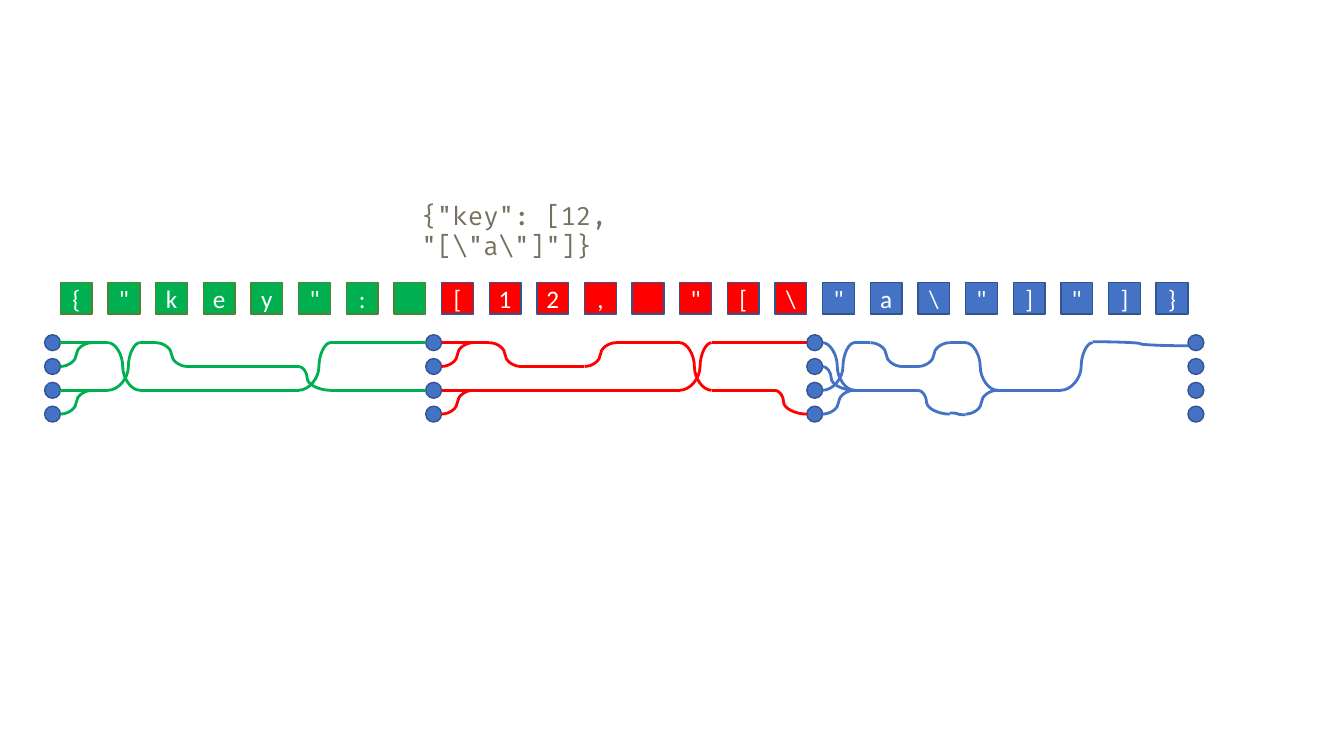
"""Draw a JSON text cut into three blocks, with state wires running below its characters."""
import dataclasses

import pptx
import pptx.dml.color
import pptx.enum.shapes
import pptx.enum.text
import pptx.oxml.ns
import pptx.oxml.xmlchemy
import pptx.util


@dataclasses.dataclass(frozen=True)
class Theme:
    """Colours, fonts and sizes of the slide."""
    blocks: tuple = ("00B050", "FF0000", "4472C4")
    outlines: tuple = ("548235", "325491", "325491")
    dot: str = "4472C4"
    dot_outline: str = "325491"
    code: str = "75715E"
    cell_text: str = "FFFFFF"
    code_font: str = "Fira Code"
    cell_font: str = "Calibri"
    text_size: int = 18
    outline_width: int = 1
    wire_width: int = 2


THEME = Theme()
JSON_TEXT = r'{"key": [12, "[\"a\"]"]}'
BLOCK_CELLS, CELL_STEP, CELL_SIZE = 8, 3, 2
BLOCK_UNITS = BLOCK_CELLS * CELL_STEP
UNIT = 3.78 / BLOCK_UNITS
LANE_STEP = 1.5 * UNIT
LANES = 4
GRID_LEFT, CELL_TOP, LANE_TOP = 0.6, 2.8, 3.4

BENDS = {(0, 2): 0.46, (2, 0): 0.64, (1, 2): 0.27, (2, 3): 0.27}

SWITCHES = {
    0: [(1, 0), (3, 2)],
    1: [(0, 2), (2, 0)],
    2: [(0, 1)],
    5: [(2, 0), (1, 2)],
    8: [(3, 2), (1, 0)],
    9: [(0, 1)],
    11: [(1, 0)],
    13: [(0, 2), (2, 0)],
    15: [(2, 3)],
    16: [(0, 2), (2, 0), (3, 2), (1, 2)],
    17: [(0, 1)],
    18: [(2, 3), (1, 0)],
    19: [(0, 2), (3, 2)],
    21: [(2, 0)],
}

RUNS = {
    0: [(0, 3), (5, 6), (17, 23), (24, 27), (35, 39), (41, 47), (50, 51), (56, 57)],
    1: [(8, 15), (29, 33), (53, 54)],
    2: [(0, 3), (5, 15), (17, 23), (24, 39), (41, 45), (50, 54), (59, 63)],
}
SLOPES = [(56, 57, 2.95, 3.03), (65, 71, -0.04, 0.13)]


def rgb(value):
    """Turn a hex string into a colour."""
    return pptx.dml.color.RGBColor.from_string(value)


def column(units):
    """Give the horizontal place of a grid unit."""
    return pptx.util.Inches(GRID_LEFT + units * UNIT)


def lane_y(lane):
    """Give the height of a lane's centre line."""
    return pptx.util.Inches(LANE_TOP + lane * LANE_STEP)


def write(tf, text, font, color, align=None):
    """Put one formatted run in a text frame."""
    p = tf.paragraphs[0]
    p.alignment = align
    r = p.add_run()
    r.text = text
    r.font.name = font
    r.font.size = pptx.util.Pt(THEME.text_size)
    r.font.color.rgb = rgb(color)


def add_shape(shapes, kind, left, top, size, fill, outline):
    """Add a filled and outlined shape of equal width and height."""
    sp = shapes.add_shape(kind, left, top, size, size)
    sp.shadow.inherit = False
    sp.fill.solid()
    sp.fill.fore_color.rgb = rgb(fill)
    sp.line.color.rgb = rgb(outline)
    sp.line.width = pptx.util.Pt(THEME.outline_width)
    return sp


def add_dots(shapes, block):
    """Add the column of state dots at the start of a block."""
    size = pptx.util.Inches(UNIT)
    left = column(block * BLOCK_UNITS - 1)
    for lane in range(LANES):
        add_shape(shapes, pptx.enum.shapes.MSO_SHAPE.OVAL, left, lane_y(lane) - size // 2,
                  size, THEME.dot, THEME.dot_outline)


def add_cell(shapes, index, char):
    """Add the square of one character."""
    block = index // BLOCK_CELLS
    sp = add_shape(shapes, pptx.enum.shapes.MSO_SHAPE.RECTANGLE, column(index * CELL_STEP),
                   pptx.util.Inches(CELL_TOP), pptx.util.Inches(CELL_SIZE * UNIT),
                   THEME.blocks[block], THEME.outlines[block])
    tf = sp.text_frame
    tf.margin_left = tf.margin_right = tf.margin_top = tf.margin_bottom = 0
    tf.vertical_anchor = pptx.enum.text.MSO_ANCHOR.MIDDLE
    if char.strip():
        write(tf, char, THEME.cell_font, THEME.cell_text, pptx.enum.text.PP_ALIGN.CENTER)


def add_wire(shapes, start, end, lane_from, lane_to):
    """Add a curved wire between two grid places in its block's colour."""
    s = shapes.add_connector(pptx.enum.shapes.MSO_CONNECTOR.CURVE, column(start),
                             lane_y(lane_from), column(end), lane_y(lane_to))
    s.line.color.rgb = rgb(THEME.blocks[start // BLOCK_UNITS])
    s.line.width = pptx.util.Pt(THEME.wire_width)
    properties = s.element.spPr
    properties.append(pptx.oxml.xmlchemy.OxmlElement("a:effectLst"))
    bend = BENDS.get((lane_from, lane_to))
    if bend:
        guide = pptx.oxml.xmlchemy.OxmlElement("a:gd")
        guide.set("name", "adj1")
        guide.set("fmla", f"val {round(bend * 100000)}")
        geometry = properties.find(pptx.oxml.ns.qn("a:prstGeom"))
        geometry.get_or_add_avLst().append(guide)


def add_code(shapes, text):
    """Add the whole JSON text above the cells."""
    s = shapes.add_textbox(*(pptx.util.Inches(n) for n in (4.08, 1.94, 3.82, 0.4)))
    tf = s.text_frame
    tf.word_wrap = True
    tf.auto_size = pptx.enum.text.MSO_AUTO_SIZE.SHAPE_TO_FIT_TEXT
    tf.margin_right = pptx.util.Inches(1.8)
    write(tf, text, THEME.code_font, THEME.code)


def main():
    """Build the slide and save it."""
    prs = pptx.Presentation()
    prs.slide_width, prs.slide_height = pptx.util.Inches(13.33), pptx.util.Inches(7.5)
    shapes = prs.slides.add_slide(prs.slide_layouts[6]).shapes
    for block in range(len(THEME.blocks) + 1):
        add_dots(shapes.add_group_shape().shapes, block)
    add_code(shapes, JSON_TEXT)
    cells = shapes.add_group_shape().shapes
    for index, char in enumerate(JSON_TEXT):
        add_cell(cells, index, char)
    for cell, switches in SWITCHES.items():
        for lane_from, lane_to in switches:
            start = cell * CELL_STEP
            add_wire(shapes, start, start + CELL_SIZE, lane_from, lane_to)
    for lane, runs in RUNS.items():
        for start, end in runs:
            add_wire(shapes, start, end, lane, lane)
    for slope in SLOPES:
        add_wire(shapes, *slope)
    prs.save("out.pptx")


main()
